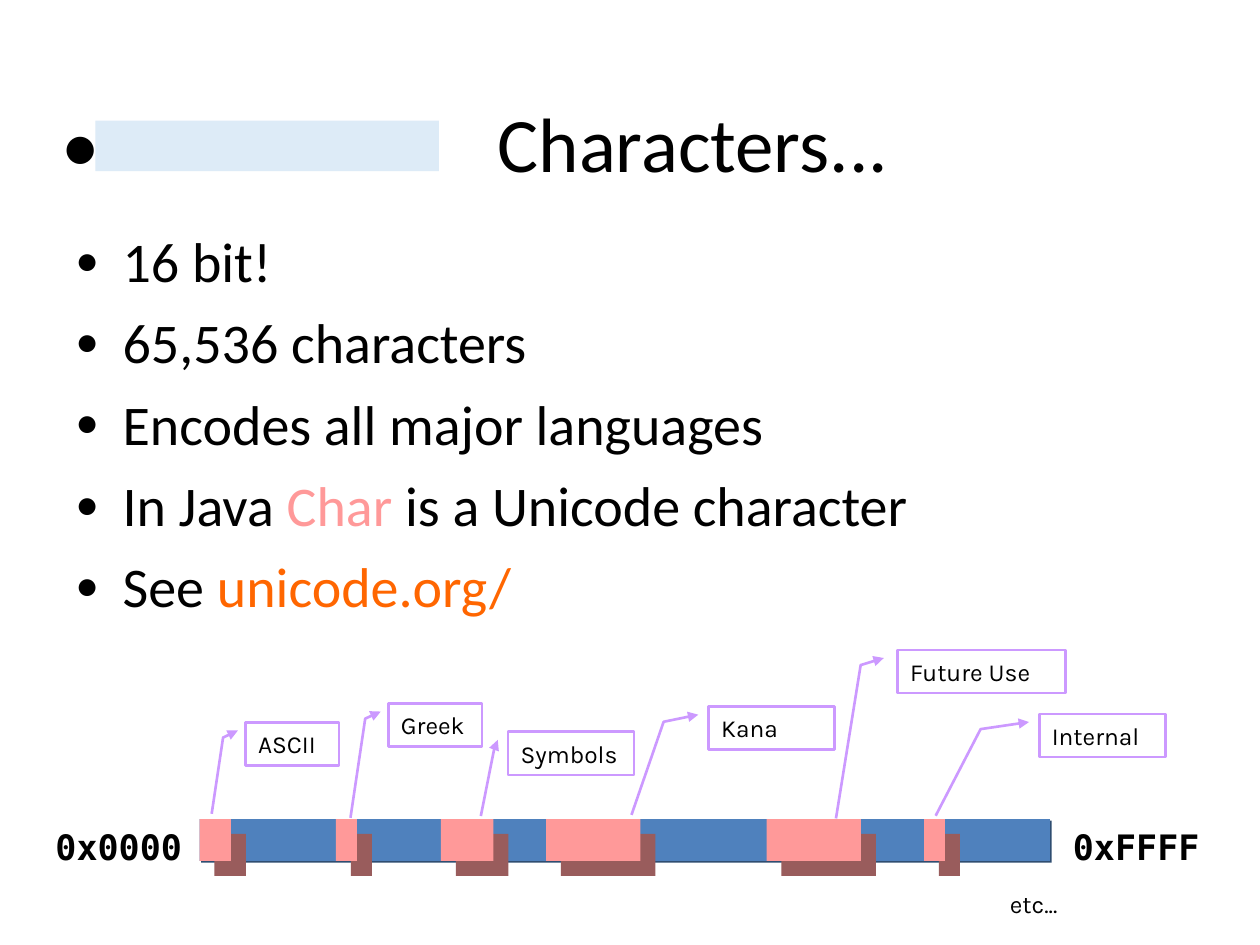
from dataclasses import dataclass

from lxml.etree import SubElement
from pptx import Presentation
from pptx.dml.color import RGBColor
from pptx.enum.shapes import MSO_SHAPE as Shape
from pptx.enum.text import MSO_ANCHOR as Anchor, PP_ALIGN as Align
from pptx.oxml.ns import qn
from pptx.util import Inches, Pt


@dataclass(frozen=True)
class Theme:
    black: str = "000000"
    pale_blue: str = "DDEBF7"
    pink: str = "FF9999"
    pink_shadow: str = "995C5C"
    orange: str = "FF6600"
    blue: str = "4F81BD"
    blue_shadow: str = "2F4D71"
    violet: str = "CC99FF"
    text_font: str = "Calibri"
    code_font: str = "DejaVu Sans Mono"
    label_font: str = "Karla"
    title_size: int = 44
    body_size: int = 32
    code_size: int = 20
    label_size: int = 14


theme = Theme()
presentation = Presentation()
presentation.slide_width, presentation.slide_height = Inches(10), Inches(7.5)
slide = presentation.slides.add_slide(presentation.slide_layouts[5])
column = presentation.slide_width / 120
row = presentation.slide_height / 90


def grid(left, top, width, height):
    return [int(left * column), int(top * row), int(width * column), int(height * row)]


def format_runs(shape, font, size, bold=False):
    for run in shape.text_frame.paragraphs[0].runs:
        run.font.name, run.font.size, run.font.bold = font, Pt(size), bold
        run.font.color.rgb = RGBColor.from_string(theme.black)


title = slide.shapes.title
title.left, title.top, title.width, title.height = grid(3, 6, 113, 15)
title.text_frame.text = "Characters..."
title.text_frame.margin_left = int(14.2 * column)
title.text_frame.vertical_anchor = Anchor.MIDDLE
title.text_frame.paragraphs[0].alignment = Align.CENTER
format_runs(title, theme.text_font, theme.title_size)

title_block = slide.shapes.add_shape(Shape.RECTANGLE, *grid(9.1, 11.5, 32.7, 4.8))
title_block.fill.solid()
title_block.fill.fore_color.rgb = RGBColor.from_string(theme.pale_blue)
title_block.line.fill.background()
title_block.shadow.inherit = False

body = slide.shapes.add_textbox(*grid(6, 21, 108, 59.4))
body.text_frame.word_wrap = True
points = [
    [("16 bit!", theme.black)],
    [("65,536 characters", theme.black)],
    [("Encodes all major languages", theme.black)],
    [("In Java ", theme.black), ("Char", theme.pink), (" is a Unicode character", theme.black)],
    [("See ", theme.black), ("unicode.org/", theme.orange)],
]
for index, point in enumerate(points):
    paragraph = body.text_frame.add_paragraph() if index else body.text_frame.paragraphs[0]
    if index:
        paragraph.space_before = Pt(8)
    properties = paragraph._p.get_or_add_pPr()
    properties.set("marL", str(int(4.5 * column)))
    properties.set("indent", str(-int(4.5 * column)))
    bullet_color = SubElement(properties, qn("a:buClr"))
    SubElement(bullet_color, qn("a:srgbClr"), val=theme.black)
    SubElement(properties, qn("a:buSzPct"), val="85000")
    SubElement(properties, qn("a:buFont"), typeface=theme.text_font)
    SubElement(properties, qn("a:buChar"), char="•")
    for text, color in point:
        run = paragraph.add_run()
        run.text = text
        run.font.name, run.font.size = theme.text_font, Pt(theme.body_size)
        run.font.color.rgb = RGBColor.from_string(color)

code_range = (19, 81, theme.blue, theme.blue_shadow, 1.4)
blocks = [
    (left, width, theme.pink, theme.pink_shadow, 12.1)
    for left, width in ((19, 3), (32, 2), (42, 5), (52, 9), (73, 9), (88, 2))
]
for left, width, fill, shadow_color, distance in [code_range, *blocks]:
    block = slide.shapes.add_shape(Shape.RECTANGLE, *grid(left, 78, width, 4))
    block.fill.solid()
    block.fill.fore_color.rgb = RGBColor.from_string(fill)
    block.line.fill.background()
    block.shadow.inherit = False
    effects = block._element.spPr.find(qn("a:effectLst"))
    shadow = SubElement(effects, qn("a:outerShdw"), dist=str(Pt(distance)),
                        dir="2700000", algn="ctr", rotWithShape="0")
    SubElement(shadow, qn("a:srgbClr"), val=shadow_color)

callouts = [
    ("ASCII", 23.4, 68.8, 8.9, -0.242, 2.124, -0.364),
    ("Greek", 37, 67, 8.9, -0.249, 2.656, -0.407),
    ("Symbols", 48.4, 69.7, 12, -0.108, 1.957, -0.217),
    ("Kana", 67.5, 67.3, 12, -0.358, 2.515, -0.613),
    ("Future Use", 85.5, 61.9, 16, -0.221, 3.915, -0.368),
    ("Internal", 99, 68, 12, -0.467, 2.365, -0.824),
]
for text, left, top, width, bend_x, end_y, end_x in callouts:
    callout = slide.shapes.add_shape(Shape.LINE_CALLOUT_2, *grid(left, top, width, 4.1))
    for index, value in enumerate((0.188, -0.083, 0.353, bend_x, end_y, end_x)):
        callout.adjustments[index] = value
    callout.shadow.inherit = False
    callout.fill.background()
    callout.line.color.rgb = RGBColor.from_string(theme.violet)
    callout.line.width = Pt(1.5)
    SubElement(callout.line._get_or_add_ln(), qn("a:headEnd"), type="triangle")
    callout.text_frame.text = text
    callout.text_frame.word_wrap = True
    callout.text_frame.vertical_anchor = Anchor.MIDDLE
    callout.text_frame.paragraphs[0].alignment = Align.LEFT
    format_runs(callout, theme.label_font, theme.label_size)

labels = [
    ("•", 4.7, 6, 6, 15, theme.text_font, theme.title_size, False),
    ("0x0000", 4.1, 78, 16, 5.3, theme.code_font, theme.code_size, True),
    ("0xFFFF", 101, 78, 16, 5.3, theme.code_font, theme.code_size, True),
    ("etc...", 95, 84, 8, 4.1, theme.label_font, theme.label_size, False),
]
for text, left, top, width, height, font, size, bold in labels:
    label = slide.shapes.add_textbox(*grid(left, top, width, height))
    label.text_frame.text = text
    label.text_frame.word_wrap = False
    label.text_frame.vertical_anchor = Anchor.MIDDLE
    label.text_frame.paragraphs[0].alignment = Align.LEFT
    format_runs(label, font, size, bold)

presentation.save("out.pptx")
